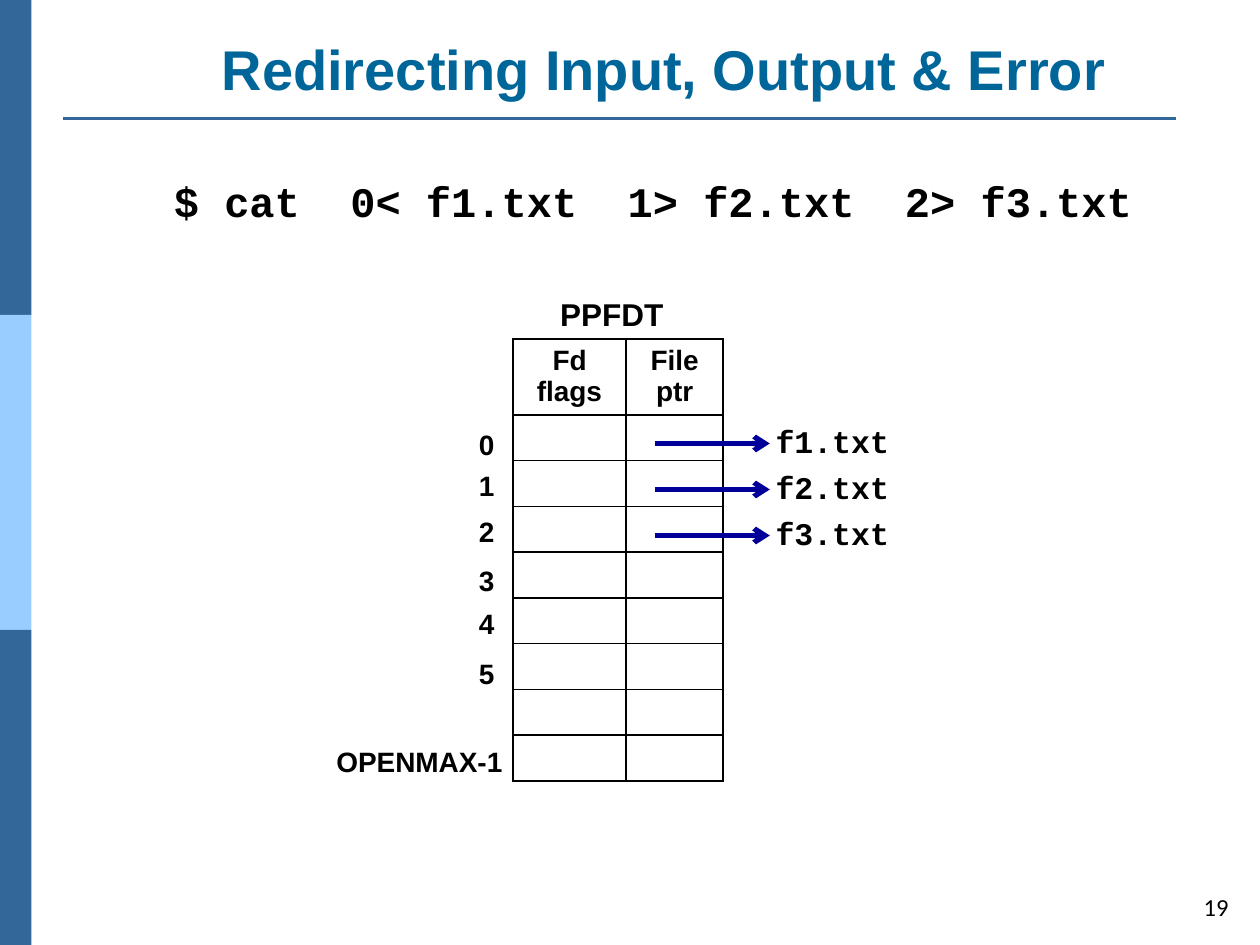
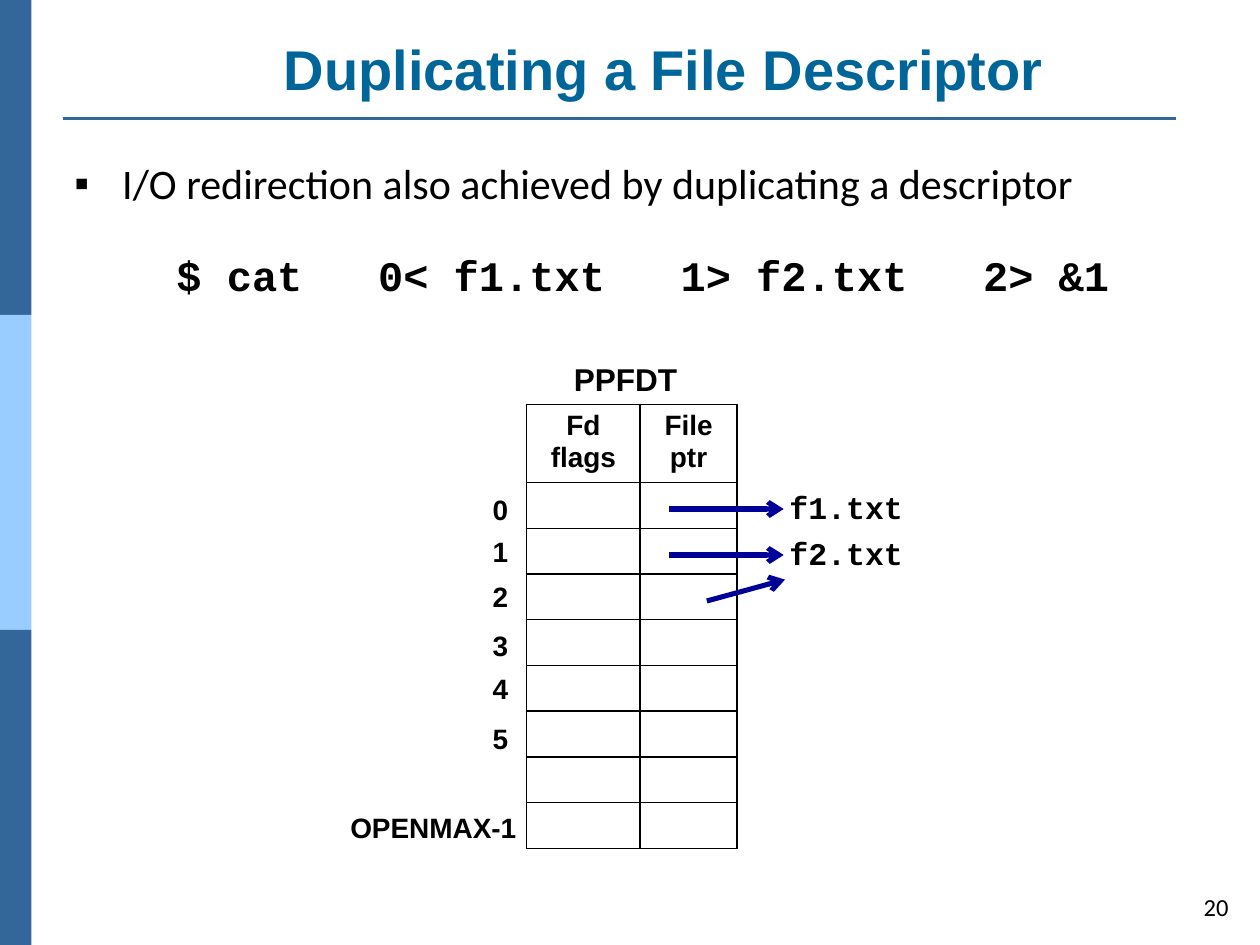
from lxml.etree import SubElement
from pptx import Presentation
from pptx.dml.color import RGBColor
from pptx.enum.shapes import MSO_CONNECTOR, MSO_SHAPE
from pptx.enum.text import MSO_ANCHOR, MSO_AUTO_SIZE, PP_ALIGN
from pptx.oxml.ns import qn
from pptx.util import Inches, Pt

BLACK, BAND, BAND_LIGHT = "000000", "336699", "99CCFF"
TITLE_COLOR, ARROW_COLOR = "006699", "000099"

TITLE = {"name": "Arial", "size": Pt(32), "bold": True}
BODY = {"name": "Calibri", "size": Pt(24)}
NUMBER = {"name": "Calibri", "size": Pt(14)}
COMMAND = {"name": "Courier New", "size": Pt(24), "bold": True}
FILE_NAME = {"name": "Courier New", "size": Pt(18), "bold": True}
CAPTION = {"name": "Arial", "size": Pt(18), "bold": True}
LABEL = {"name": "Arial", "size": Pt(16), "bold": True}

COLUMNS = (0.9, 0.77)
ROW_HEIGHT = 0.363
ENTRIES = 8
# Tops of the descriptor labels, measured from the top of the table
FD_TOPS = {"0": 0.66, "1": 0.99, "2": 1.35, "3": 1.74, "4": 2.08, "5": 2.48}
ENTRY_PITCH = 0.365


def rgb(color):
    return RGBColor.from_string(color)


def write(tf, text, style, color=BLACK, align=PP_ALIGN.LEFT):
    p = tf.paragraphs[0]
    p.alignment = align
    r = p.add_run()
    r.text = text
    for key, value in style.items():
        setattr(r.font, key, value)
    r.font.color.rgb = rgb(color)


def place(shape, *box):
    for key, value in zip(("left", "top", "width", "height"), box):
        setattr(shape, key, Inches(value))


def add_text(s, text, box, style, align=PP_ALIGN.LEFT):
    tf = s.shapes.add_textbox(*map(Inches, box)).text_frame
    tf.word_wrap = False
    tf.margin_left = tf.margin_right = Inches(0.09)
    tf.margin_top = tf.margin_bottom = Inches(0.04)
    write(tf, text, style, align=align)
    return tf


def add_line(s, start, end, color, width, arrow=False):
    line = s.shapes.add_connector(MSO_CONNECTOR.STRAIGHT,
                                  *map(Inches, (*start, *end)))
    line.line.color.rgb = rgb(color)
    line.line.width = Pt(width)
    if arrow:
        SubElement(line.line._get_or_add_ln(), qn("a:tailEnd"), type="arrow")
    SubElement(line._element.spPr, qn("a:effectLst"))


def add_slide(prs, layout, title, number):
    """Add a slide with the side bands, title, rule and slide number."""
    s = prs.slides.add_slide(prs.slide_layouts[layout])
    for i, color in enumerate((BAND, BAND_LIGHT, BAND)):
        band = s.shapes.add_shape(MSO_SHAPE.RECTANGLE, 0, Inches(2.5 * i),
                                  Inches(0.25), Inches(2.5))
        band.shadow.inherit = False
        band.fill.solid()
        band.fill.fore_color.rgb = rgb(color)
        band.line.fill.background()
    add_line(s, (0.5, 0.94), (9.33, 0.94), BAND, 1.5)
    place(s.shapes.title, 1.15, 0.18, 8.24, 0.68)
    tf = s.shapes.title.text_frame
    tf.vertical_anchor = MSO_ANCHOR.BOTTOM
    tf.auto_size = MSO_AUTO_SIZE.NONE
    write(tf, title, TITLE, TITLE_COLOR, PP_ALIGN.CENTER)
    tf = add_text(s, str(number), (9.39, 6.99, 0.45, 0.41), NUMBER, PP_ALIGN.RIGHT)
    tf.word_wrap = True
    tf.vertical_anchor = MSO_ANCHOR.MIDDLE
    return s


def add_bullet(s, text):
    body = s.placeholders[1]
    place(body, 0.49, 1.2, 8.71, 0.5)
    tf = body.text_frame
    tf.auto_size = MSO_AUTO_SIZE.NONE
    p = tf.paragraphs[0]
    pPr = p._p.get_or_add_pPr()
    pPr.set("marL", str(Inches(0.38)))
    pPr.set("indent", str(-Inches(0.38)))
    SubElement(pPr, qn("a:buFont"), typeface="Arial")
    SubElement(pPr, qn("a:buChar"), char="▪")
    p.space_before = Pt(0)
    write(tf, text, BODY)


def format_cell(cell):
    cell.margin_left = cell.margin_right = Inches(0.09)
    cell.margin_top = cell.margin_bottom = Inches(0.03)
    tcPr = cell._tc.get_or_add_tcPr()
    for side in ("lnL", "lnR", "lnT", "lnB"):
        ln = SubElement(tcPr, qn(f"a:{side}"), w=str(Pt(1)))
        fill = SubElement(ln, qn("a:solidFill"))
        SubElement(fill, qn("a:srgbClr"), val=BLACK)
    cell.fill.background()


def add_descriptor_table(s, x, y, header_height):
    """Draw the descriptor table at (x, y) with its caption and row labels."""
    height = header_height + ENTRIES * ROW_HEIGHT
    frame = s.shapes.add_table(ENTRIES + 1, len(COLUMNS),
                               *map(Inches, (x, y, sum(COLUMNS), height)))
    table = frame.table
    table.first_row = table.horz_banding = False
    for column, width in zip(table.columns, COLUMNS):
        column.width = Inches(width)
    for i, row in enumerate(table.rows):
        row.height = Inches(ROW_HEIGHT if i else header_height)
        for cell in row.cells:
            format_cell(cell)
    for cell, text in zip(table.rows[0].cells, ("Fd flags", "File ptr")):
        cell.margin_top, cell.margin_bottom = Inches(0.05), Inches(0.02)
        write(cell.text_frame, text, LABEL, align=PP_ALIGN.CENTER)

    add_text(s, "PPFDT", (x + 0.28, y - 0.39, 1.01, 0.38), CAPTION, PP_ALIGN.CENTER)
    for text, top in FD_TOPS.items():
        add_text(s, text, (x - 0.36, y + top, 0.31, 0.35), LABEL)
    add_text(s, "OPENMAX-1", (x - 1.49, y + 3.18, 1.51, 0.35), LABEL)


def add_file_pointers(s, x, y, names):
    """Point from the first table entries to the named files."""
    for i, name in enumerate(names):
        dy = y + i * ENTRY_PITCH
        add_line(s, (x + 1.13, dy + 0.83), (x + 2.04, dy + 0.83),
                 ARROW_COLOR, 2.89, arrow=True)
        add_text(s, name, (x + 1.99, dy + 0.62, 1.09, 0.38), FILE_NAME,
                 PP_ALIGN.CENTER)


def main():
    prs = Presentation()
    prs.slide_width, prs.slide_height = Inches(10), Inches(7.5)

    s = add_slide(prs, 5, "Redirecting Input, Output & Error", 19)
    add_text(s, "$ cat  0< f1.txt  1> f2.txt  2> f3.txt",
             (1.29, 1.35, 7.84, 0.43), COMMAND)
    add_descriptor_table(s, 4.07, 2.69, 0.59)
    add_file_pointers(s, 4.07, 2.69, ("f1.txt", "f2.txt", "f3.txt"))

    s = add_slide(prs, 1, "Duplicating a File Descriptor", 20)
    add_bullet(s, "I/O redirection also achieved by duplicating a descriptor")
    add_text(s, "$ cat   0< f1.txt   1> f2.txt   2> &1",
             (1.31, 1.94, 7.62, 0.49), COMMAND)
    add_descriptor_table(s, 4.18, 3.21, 0.62)
    add_file_pointers(s, 4.18, 3.21, ("f1.txt", "f2.txt"))
    add_line(s, (5.61, 4.77), (6.23, 4.6), ARROW_COLOR, 2.89, arrow=True)

    prs.save("out.pptx")


if __name__ == "__main__":
    main()
